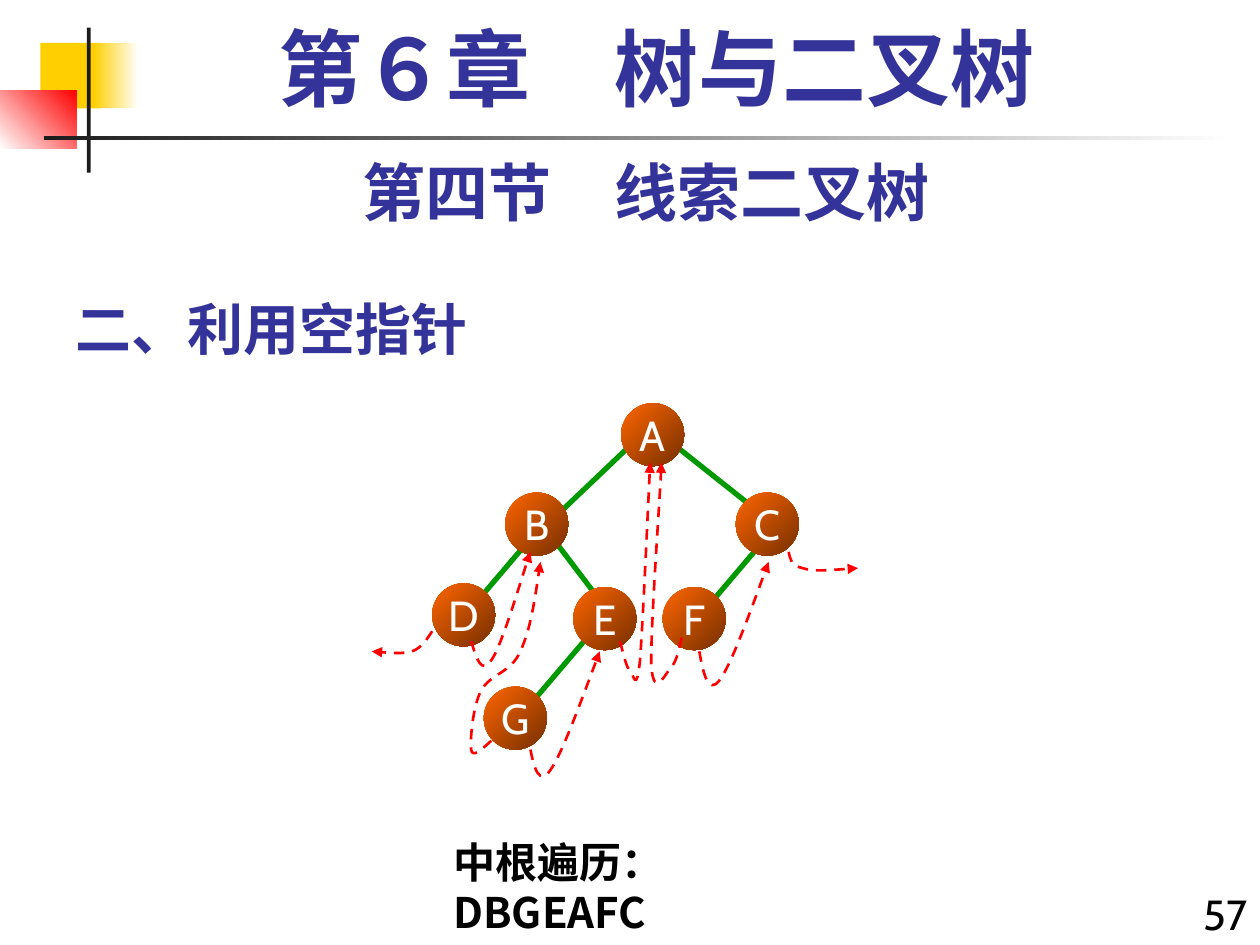
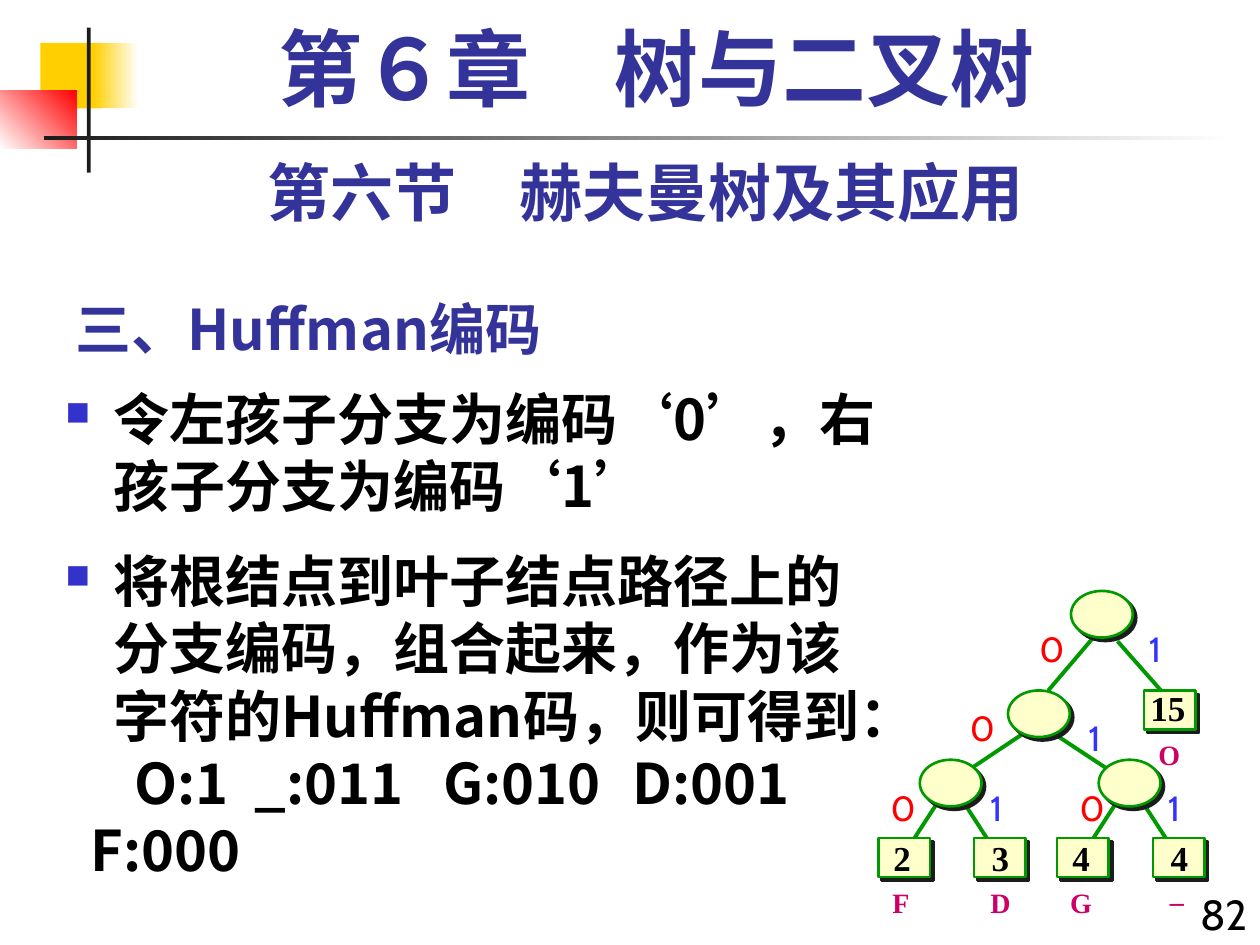
from dataclasses import dataclass
from typing import Optional

import pptx
import pptx.dml.color
import pptx.enum.dml
import pptx.enum.shapes
import pptx.enum.text
import pptx.oxml
import pptx.oxml.ns
import pptx.util
from pptx.dml.color import RGBColor
from pptx.enum.shapes import MSO_SHAPE
from pptx.enum.text import MSO_ANCHOR, PP_ALIGN
from pptx.util import Inches

NAVY = RGBColor(0x33, 0x33, 0x99)
BULLET_BLUE = RGBColor(0x33, 0x33, 0xCC)
ONE_BLUE = RGBColor(0x33, 0x33, 0xFF)
BLACK = RGBColor(0, 0, 0)
WHITE = RGBColor(0xFF, 0xFF, 0xFF)
INK = RGBColor(0x1C, 0x1C, 0x1C)
GOLD = RGBColor(0xFF, 0xCF, 0x01)
RED = RGBColor(0xFF, 0, 0)
GREEN = RGBColor(0, 0x99, 0)
ORANGE = RGBColor(0xFF, 0x66, 0)
BROWN = RGBColor(0x76, 0x2F, 0)
CREAM = RGBColor(0xFF, 0xFF, 0xCC)
MAGENTA = RGBColor(0xCC, 0, 0x66)
HAN = "Noto Sans CJK SC"
CABIN = "Cabin"
TIMES = "Times New Roman"
NODE_SIZE = 0.5


@dataclass
class Block:
    left: float
    top: float
    width: float
    height: float
    start: RGBColor
    end: Optional[RGBColor] = None
    angle: float = 0


@dataclass
class Node:
    letter: str
    left: float
    top: float


@dataclass
class Edge:
    x1: float
    y1: float
    x2: float
    y2: float


@dataclass
class Label:
    text: str
    center: float
    top: float


BLOCKS = [
    Block(0.32, 0.34, 0.48, 0.52, GOLD),
    Block(0.74, 0.34, 0.36, 0.52, GOLD, WHITE),
    Block(0, 0.72, 0.61, 0.46, WHITE, RED, 45),
    Block(0.69, 0.22, 0.03, 1.15, INK),
    Block(0.35, 1.08, 9.45, 0.03, INK, WHITE),
]
NODES = [
    Node("A", 4.93, 3.2), Node("D", 3.43, 4.63), Node("B", 4.01, 3.91),
    Node("F", 5.26, 4.66), Node("C", 5.84, 3.91), Node("G", 3.84, 5.45),
    Node("E", 4.55, 4.66),
]
TREE_EDGES = [
    Edge(5.3, 3.49, 5.93, 3.99), Edge(5.05, 3.49, 4.43, 4.08),
    Edge(4.3, 4.17, 3.84, 4.71), Edge(4.34, 4.21, 4.72, 4.71),
    Edge(6.13, 4.21, 5.68, 4.74), Edge(4.72, 4.99, 4.26, 5.53),
]
THREADS = [
    [(3.43, 5.01), (3.39, 5.07), (3.35, 5.14), (3.27, 5.17), (3.19, 5.19), (3.07, 5.18), (2.95, 5.17)],
    [(3.74, 5.09), (3.78, 5.22), (3.82, 5.36), (3.9, 5.24), (3.98, 5.13), (4.16, 4.52), (4.21, 4.38)],
    [(3.9, 5.88), (3.82, 5.95), (3.75, 6.02), (3.74, 5.95), (3.73, 5.89), (3.75, 5.61), (3.82, 5.48),
     (3.89, 5.35), (4.06, 5.34), (4.13, 5.17), (4.21, 5), (4.25, 4.73), (4.29, 4.46)],
    [(4.21, 5.95), (4.24, 6.1), (4.28, 6.24), (4.37, 6.11), (4.46, 5.98), (4.61, 5.57), (4.76, 5.17)],
    [(4.92, 5.09), (4.95, 5.19), (4.97, 5.3), (5, 5.32), (5.03, 5.35), (5.05, 5.52), (5.08, 5.24),
     (5.1, 4.97), (5.13, 4.32), (5.16, 3.67)],
    [(5.41, 5.06), (5.39, 5.15), (5.37, 5.25), (5.33, 5.29), (5.29, 5.33), (5.19, 5.56), (5.17, 5.29),
     (5.16, 5.02), (5.24, 3.94), (5.25, 3.67)],
    [(5.55, 5.17), (5.58, 5.34), (5.62, 5.52), (5.71, 5.4), (5.8, 5.28), (5.95, 4.87), (6.1, 4.46)],
    [(6.26, 4.38), (6.27, 4.44), (6.28, 4.49), (6.37, 4.51), (6.46, 4.54), (6.64, 4.52), (6.81, 4.51)],
]
SUBTREES = [7.3, 8.72]
HUFFMAN_EDGES = [
    Edge(8.87, 5.09, 9.32, 5.6), Edge(8.72, 5.01, 8.32, 5.48),
    Edge(8.33, 5.8, 8.8, 6.11), Edge(8.17, 5.79, 7.69, 6.11),
] + [
    Edge(left + start, 6.34, left + end, 6.71)
    for left in SUBTREES for start, end in ((0.33, 0.57), (0.16, -0.08))
]
INNER_NODES = [(8, 5.48), (8.5, 4.69)] + [(left, 6.03) for left in SUBTREES]
LEAVES = [(9.08, 5.48)] + [(left + shift, 6.65) for left in SUBTREES for shift in (-0.33, 0.43)]
WEIGHTS = [
    Label("15", 9.27, 5.4), Label("2", 7.16, 6.59), Label("3", 7.94, 6.59),
    Label("4", 8.58, 6.59), Label("4", 9.36, 6.59),
]
SYMBOLS = [
    Label("O", 9.28, 5.8), Label("F", 7.15, 6.98), Label("D", 7.94, 6.98),
    Label("G", 8.58, 6.98), Label("_", 9.34, 6.89),
]
BITS = {
    "0": (RED, [(8.15, 4.93), (7.6, 5.56), (6.97, 6.19), (8.47, 6.19)]),
    "1": (ONE_BLUE, [(9.02, 4.93), (8.54, 5.64), (9.17, 6.19), (7.76, 6.19)]),
}


def add_xml(parent, tag: str, **attributes):
    child = pptx.oxml.parse_xml(f'<a:{tag} {pptx.oxml.ns.nsdecls("a")}/>')
    for name, value in attributes.items():
        child.set(name, str(value))
    parent.append(child)
    return child


def add_span(para, text: str, size: float, font: str = CABIN, color: RGBColor = BLACK,
             bold: bool = False) -> None:
    span = para.add_run()
    span.text = text
    span.font.size = pptx.util.Pt(size)
    span.font.bold = bold
    span.font.color.rgb = color
    span.font.name = font
    add_xml(span.font._element, "ea", typeface=HAN)


def add_text(page, text: str, left: float, top: float, width: float, height: float, *,
             size: float, font: str = CABIN, color: RGBColor = BLACK, bold: bool = False,
             align: PP_ALIGN = PP_ALIGN.LEFT, anchor: MSO_ANCHOR = MSO_ANCHOR.TOP,
             spacing: Optional[float] = None) -> None:
    box = page.shapes.add_textbox(Inches(left), Inches(top), Inches(width), Inches(height))
    box.text_frame.word_wrap = True
    box.text_frame.vertical_anchor = anchor
    para = box.text_frame.paragraphs[0]
    para.alignment = align
    para.line_spacing = spacing
    add_span(para, text, size, font, color, bold)


def add_centered(page, label: Label, height: float, size: float, color: RGBColor) -> None:
    width = 0.5
    add_text(page, label.text, label.center - width / 2, label.top, width, height, size=size,
             font=TIMES, color=color, bold=True, align=PP_ALIGN.CENTER, anchor=MSO_ANCHOR.MIDDLE)


def add_block(page, block: Block, kind: MSO_SHAPE = MSO_SHAPE.RECTANGLE):
    shape = page.shapes.add_shape(kind, Inches(block.left), Inches(block.top),
                                  Inches(block.width), Inches(block.height))
    shape.shadow.inherit = False
    shape.line.fill.background()
    if block.end is None:
        shape.fill.solid()
        shape.fill.fore_color.rgb = block.start
    else:
        shape.fill.gradient()
        shape.fill.gradient_angle = block.angle
        for stop, color in zip(shape.fill.gradient_stops, (block.start, block.end)):
            stop.color.rgb = color
    return shape


def add_edge(page, edge: Edge, width: float) -> None:
    line = page.shapes.add_connector(pptx.enum.shapes.MSO_CONNECTOR.STRAIGHT, Inches(edge.x1),
                                     Inches(edge.y1), Inches(edge.x2), Inches(edge.y2))
    line.line.color.rgb = GREEN
    line.line.width = pptx.util.Pt(width)
    add_xml(line.element.spPr, "effectLst")


def add_node(page, node: Node) -> None:
    shape = add_block(page, Block(node.left, node.top, NODE_SIZE, NODE_SIZE, ORANGE, BROWN, 315),
                      MSO_SHAPE.OVAL)
    frame = shape.text_frame
    frame.margin_left = frame.margin_right = 0
    frame.word_wrap = False
    frame.vertical_anchor = MSO_ANCHOR.MIDDLE
    frame.paragraphs[0].alignment = PP_ALIGN.CENTER
    add_span(frame.paragraphs[0], node.letter, 24, color=WHITE)


def bend(shape) -> None:
    segments = list(shape.element.iter(pptx.oxml.ns.qn("a:lnTo")))
    outline = segments[0].getparent()
    for first in range(0, len(segments), 3):
        curve = add_xml(outline, "cubicBezTo")
        for segment in segments[first:first + 3]:
            curve.append(segment[0])
            outline.remove(segment)


def add_thread(page, knots: list) -> None:
    start, *rest = [(Inches(x), Inches(y)) for x, y in knots]
    builder = page.shapes.build_freeform(*start)
    builder.add_line_segments(rest, close=False)
    shape = builder.convert_to_shape()
    bend(shape)
    shape.shadow.inherit = False
    shape.fill.background()
    shape.line.color.rgb = RED
    shape.line.width = pptx.util.Pt(1.5)
    shape.line.dash_style = pptx.enum.dml.MSO_LINE.DASH
    add_xml(shape.element.spPr.find(pptx.oxml.ns.qn("a:ln")), "tailEnd", type="triangle")


def add_shadowed(page, kind: MSO_SHAPE, left: float, top: float, width: float, height: float) -> None:
    shape = add_block(page, Block(left, top, width, height, CREAM), kind)
    shape.line.color.rgb = GREEN
    shape.line.width = pptx.util.Pt(1.5)
    effects = shape.element.spPr.find(pptx.oxml.ns.qn("a:effectLst"))
    shadow = add_xml(effects, "outerShdw", blurRad=0, dist=pptx.util.Pt(2.8), dir=45 * 60000,
                     algn="ctr", rotWithShape=0)
    add_xml(shadow, "srgbClr", val=INK)


def add_page(deck, section: str, heading: str, number: int):
    page = deck.slides.add_slide(deck.slide_layouts[6])
    for block in BLOCKS:
        add_block(page, block)
    add_text(page, heading, 0.5, 2.17, 6.25, 0.75, size=32, font=HAN, color=NAVY, bold=True,
             anchor=MSO_ANCHOR.BOTTOM)
    add_text(page, str(number), 9.33, 7, 0.67, 0.5, size=24, align=PP_ALIGN.RIGHT)
    add_text(page, section, 0.5, 1.17, 9.25, 0.7, size=36, color=NAVY, bold=True,
             align=PP_ALIGN.CENTER)
    add_text(page, "第６章　树与二叉树", 0.67, 0.17, 9.08, 0.83, size=48, font=TIMES, color=NAVY,
             bold=True, align=PP_ALIGN.CENTER, spacing=0.9)
    return page


def add_rules(page) -> None:
    box = page.shapes.add_textbox(Inches(0.42), Inches(3), Inches(6.71), Inches(4.5))
    frame = box.text_frame
    frame.word_wrap = True
    bullets = [
        ["令左孩子分支为编码", "‘", "0", "’", "，右孩子分支为编码", "‘", "1", "’"],
        ["将根结点到叶子结点路径上的分支编码，组合起来，作为该字符的Huffman码，则可得到："],
    ]
    for index, pieces in enumerate(bullets):
        para = frame.add_paragraph() if index else frame.paragraphs[0]
        layout = para._p.get_or_add_pPr()
        layout.set("marL", str(Inches(0.38)))
        layout.set("indent", str(Inches(-0.38)))
        add_xml(add_xml(layout, "buClr"), "srgbClr", val=BULLET_BLUE)
        add_xml(layout, "buSzPct", val=60000)
        add_xml(layout, "buChar", char="■")
        if index:
            para.space_before = pptx.util.Pt(16)
        for piece in pieces:
            add_span(para, piece, 32, TIMES if piece in "‘’" else HAN, bold=True)
    codes = [("O:1\t_:011\tG:010\tD:001", 0.55, (1.49, 2.75, 4.13)), ("F:000", 0.2, ())]
    for text, indent, stops in codes:
        para = frame.add_paragraph()
        layout = para._p.get_or_add_pPr()
        layout.set("marL", "0")
        layout.set("indent", str(Inches(indent)))
        if stops:
            tabs = add_xml(layout, "tabLst")
            for stop in stops:
                add_xml(tabs, "tab", pos=Inches(stop), algn="l")
        add_span(para, text, 32, HAN, bold=True)


def build_threaded_tree(deck) -> None:
    page = add_page(deck, "第四节　线索二叉树", "二、利用空指针", 57)
    add_text(page, "中根遍历：DBGEAFC", 3.5, 6.59, 3.06, 0.5, size=24, font=HAN, bold=True)
    for edge in TREE_EDGES:
        add_edge(page, edge, 3)
    for node in NODES:
        add_node(page, node)
    for knots in THREADS:
        add_thread(page, knots)


def build_huffman(deck) -> None:
    page = add_page(deck, "第六节　赫夫曼树及其应用", "三、Huffman编码", 82)
    add_rules(page)
    for edge in HUFFMAN_EDGES:
        add_edge(page, edge, 2.25)
    for left, top in LEAVES:
        add_shadowed(page, MSO_SHAPE.RECTANGLE, left, top, 0.41, 0.31)
    for left, top in INNER_NODES:
        add_shadowed(page, MSO_SHAPE.OVAL, left, top, 0.49, 0.37)
    for label in WEIGHTS:
        add_centered(page, label, 0.43, 20, BLACK)
    for bit, (color, places) in BITS.items():
        for left, top in places:
            add_text(page, bit, left, top, 0.47, 0.43, size=20, color=color)
    for label in SYMBOLS:
        add_centered(page, label, 0.37, 16, MAGENTA)


def main() -> None:
    deck = pptx.Presentation()
    deck.slide_width = Inches(10)
    deck.slide_height = Inches(7.5)
    build_threaded_tree(deck)
    build_huffman(deck)
    deck.save("out.pptx")


if __name__ == "__main__":
    main()
